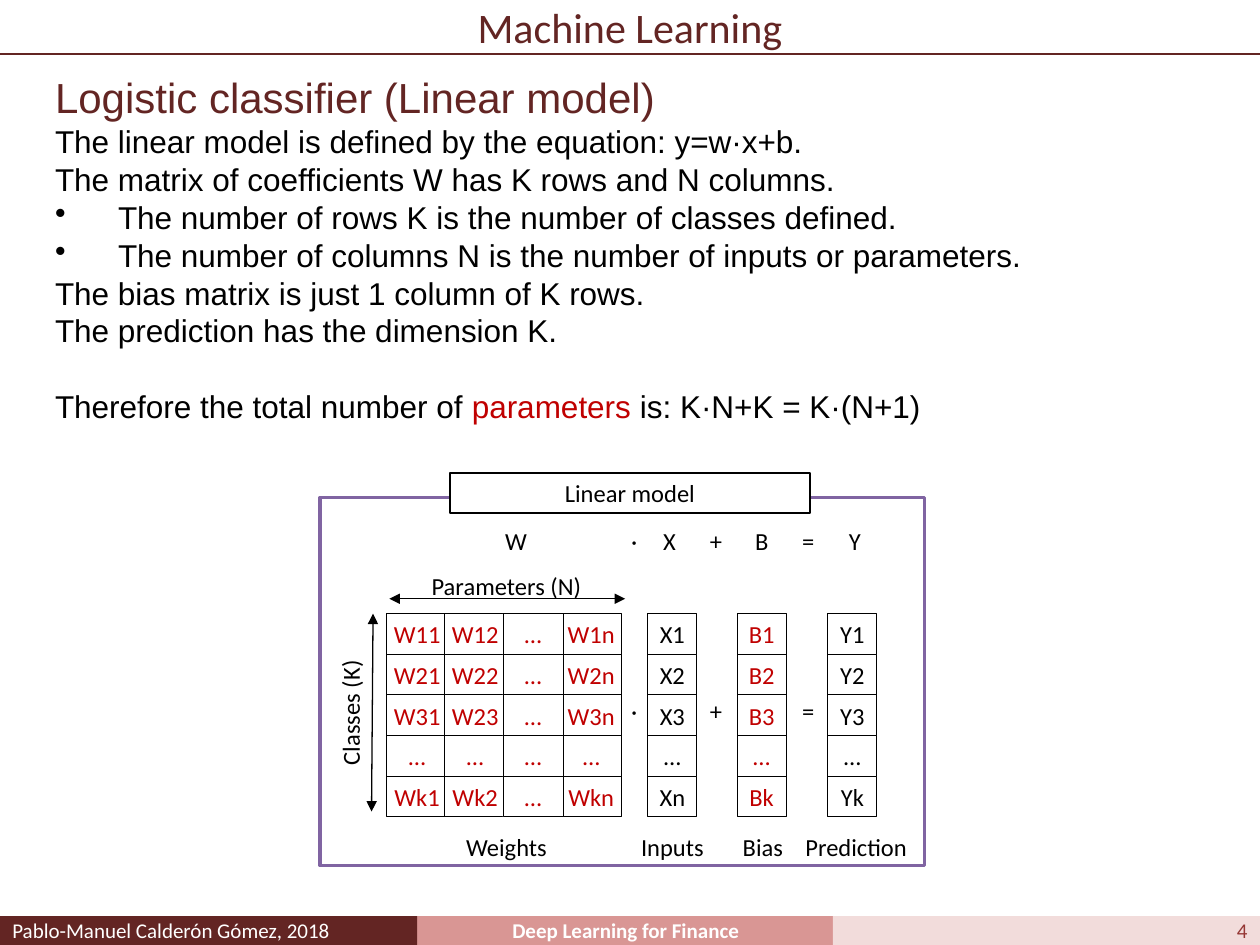
import dataclasses
import typing

import lxml.etree
import pptx
import pptx.dml.color
import pptx.enum.shapes
import pptx.enum.text
import pptx.oxml.ns
import pptx.util

Cm = pptx.util.Cm
Pt = pptx.util.Pt
Align = pptx.enum.text.PP_ALIGN
BLACK, WHITE, RED, MAROON = "000000", "FFFFFF", "C00000", "632523"
ROW_TOP, ROW_HEIGHT = 12.37, 0.82
HEADING_TOP, OPERATOR_TOP, CAPTION_TOP = 10.49, 13.92, 16.69
SYMBOL_WIDTH = 0.99


@dataclasses.dataclass
class Box:
    left: float
    top: float
    width: float
    height: float
    text: str = ""
    fill: typing.Optional[str] = WHITE
    line: typing.Optional[str] = None
    line_width: float = 0.5
    color: str = BLACK
    size: float = 14
    bold: bool = False
    align: Align = Align.CENTER
    inset: typing.Optional[float] = 0.1
    wrap: bool = True
    rotation: float = 0


@dataclasses.dataclass
class Column:
    left: float
    width: float
    entries: str
    color: str


@dataclasses.dataclass
class Line:
    start: tuple[float, float]
    end: tuple[float, float]
    color: str = BLACK
    arrows: bool = True


def set_values(target: typing.Any, values: dict[str, typing.Any]) -> None:
    for name, value in values.items():
        setattr(target, name, value)


def set_color(color_format: typing.Any, value: str) -> None:
    color_format.rgb = pptx.dml.color.RGBColor.from_string(value)


def add_run(paragraph: typing.Any, text: str, color: str, **values: typing.Any) -> None:
    run = paragraph.add_run()
    run.text = text
    set_values(run.font, values)
    set_color(run.font.color, color)


def draw_box(slide: typing.Any, box: Box) -> None:
    shape = slide.shapes.add_shape(
        pptx.enum.shapes.MSO_SHAPE.RECTANGLE,
        Cm(box.left), Cm(box.top), Cm(box.width), Cm(box.height))
    shape.shadow.inherit = False
    shape.rotation = box.rotation
    if box.fill:
        shape.fill.solid()
        set_color(shape.fill.fore_color, box.fill)
    else:
        shape.fill.background()
    if box.line:
        set_color(shape.line.color, box.line)
        shape.line.width = Pt(box.line_width)
    else:
        shape.line.fill.background()
    if not box.text:
        return
    frame = shape.text_frame
    set_values(frame, {"word_wrap": box.wrap,
                       "vertical_anchor": pptx.enum.text.MSO_ANCHOR.MIDDLE})
    if box.inset is not None:
        sides = ("margin_left", "margin_top", "margin_right", "margin_bottom")
        set_values(frame, dict.fromkeys(sides, Cm(box.inset)))
    paragraph = frame.paragraphs[0]
    paragraph.alignment = box.align
    add_run(paragraph, box.text, box.color, name="Calibri", size=Pt(box.size), bold=box.bold)


def draw_column(slide: typing.Any, column: Column) -> None:
    for row, entry in enumerate(column.entries.split()):
        draw_box(slide, Box(column.left, ROW_TOP + row * ROW_HEIGHT, column.width,
                            ROW_HEIGHT, entry, line=BLACK, color=column.color))


def draw_line(slide: typing.Any, line: Line) -> None:
    connector = slide.shapes.add_connector(
        pptx.enum.shapes.MSO_CONNECTOR.STRAIGHT,
        *(Cm(value) for value in line.start + line.end))
    set_color(connector.line.color, line.color)
    connector.line.width = Pt(0.75)
    properties = connector._element.spPr
    if line.arrows:
        outline = properties.find(pptx.oxml.ns.qn("a:ln"))
        for tag in ("a:headEnd", "a:tailEnd"):
            lxml.etree.SubElement(outline, pptx.oxml.ns.qn(tag), type="triangle")
    lxml.etree.SubElement(properties, pptx.oxml.ns.qn("a:effectLst"))


def draw_explanation(slide: typing.Any) -> None:
    shape = slide.shapes.add_textbox(Cm(0.86), Cm(1.32), Cm(23.75), Cm(16.54))
    frame = shape.text_frame
    frame.word_wrap = True
    heading = frame.paragraphs[0]
    heading.line_spacing = Pt(29)
    add_run(heading, "Logistic classifier (Linear model)", MAROON, name="Arial", size=Pt(24))
    lines = [
        (False, ["The linear model is defined by the equation: y=w·x+b."]),
        (False, ["The matrix of coefficients W has K rows and N columns."]),
        (True, ["The number of rows K is the number of classes defined."]),
        (True, ["The number of columns N is the number of inputs or parameters."]),
        (False, ["The bias matrix is just 1 column of K rows."]),
        (False, ["The prediction has the dimension K."]),
        (False, ["Therefore the total number of ", "parameters", " is: K·N+K = K·(N+1)"]),
    ]
    for bulleted, parts in lines:
        paragraph = frame.add_paragraph()
        paragraph.line_spacing = Pt(21.6)
        for part in parts:
            color = RED if part == "parameters" else BLACK
            add_run(paragraph, part, color, name="Arial", size=Pt(18))
        if bulleted:
            properties = paragraph._p.get_or_add_pPr()
            properties.set("marL", str(Cm(1.27)))
            properties.set("indent", str(-Cm(1.27)))
            lxml.etree.SubElement(properties, pptx.oxml.ns.qn("a:buChar"), char="•")
    paragraph.space_before = Pt(21.6)


def draw_model(slide: typing.Any) -> None:
    operators = [("·", 12.29), ("+", 13.94), ("=", 15.8)]
    headings = [("W", 9.91), ("X", 13), ("B", 14.86), ("Y", 16.74)]
    for top, symbols in ((OPERATOR_TOP, operators), (HEADING_TOP, operators + headings)):
        for symbol, left in symbols:
            draw_box(slide, Box(left, top, SYMBOL_WIDTH, ROW_HEIGHT, symbol))

    weights = {0: "W11 W21 W31 … Wk1", 1: "W12 W22 W23 … Wk2",
               3: "W1n W2n W3n … Wkn", 2: "… … … … …"}
    columns = [Column(13.06, SYMBOL_WIDTH, "X1 X2 X3 … Xn", BLACK),
               Column(14.86, SYMBOL_WIDTH, "B1 B2 B3 … Bk", RED),
               Column(16.69, SYMBOL_WIDTH, "Y1 Y2 Y3 … Yk", BLACK)]
    columns += [Column(7.8 + 1.17 * index, 1.22, entries, RED)
                for index, entries in weights.items()]
    for column in columns:
        draw_column(slide, column)

    captions = [("Weights", 9.04, 2.34), ("Bias", 14.68, 1.4),
                ("Inputs", 12.5, 2.11), ("Prediction", 15.85, 2.82)]
    for caption, left, width in captions:
        draw_box(slide, Box(left, CAPTION_TOP, width, 0.76, caption))

    draw_box(slide, Box(6.45, 10.03, 12.19, 7.42, fill=None, line="8064A2", line_width=2))
    draw_box(slide, Box(9.07, 9.53, 7.26, 0.81, "Linear model", line=BLACK, line_width=1))
    draw_box(slide, Box(5.74, 13.94, 2.64, 0.86, "Classes (K)", fill=None,
                        wrap=False, rotation=270))
    draw_box(slide, Box(8.43, 11.38, 3.56, 0.86, "Parameters (N)", fill=None, wrap=False))
    draw_line(slide, Line((7.52, 12.37), (7.49, 16.36)))
    draw_line(slide, Line((12.6, 12.07), (7.85, 12.07)))


def main() -> None:
    presentation = pptx.Presentation()
    set_values(presentation, {"slide_width": Cm(25.4), "slide_height": Cm(19.05)})
    slide = presentation.slides.add_slide(presentation.slide_layouts[6])
    footer = {"top": 18.47, "height": 0.58, "size": 12, "inset": None}
    boxes = [
        Box(left=8.41, width=8.41, text="Deep Learning for Finance", fill="D99694",
            color=WHITE, bold=True, **footer),
        Box(left=0, width=8.41, text="Pablo-Manuel Calderón Gómez, 2018", fill=MAROON,
            color=WHITE, align=Align.JUSTIFY, **footer),
        Box(left=16.79, width=8.61, text="4", fill="F2DCDB", color="953735",
            align=Align.RIGHT, **footer),
        Box(0, 0, 25.4, 1.09, "Machine Learning", fill=None, color=MAROON, size=24),
    ]
    for box in boxes:
        draw_box(slide, box)
    draw_line(slide, Line((0, 1.09), (25.4, 1.09), MAROON, arrows=False))
    draw_explanation(slide)
    draw_model(slide)
    presentation.save("out.pptx")


if __name__ == "__main__":
    main()
